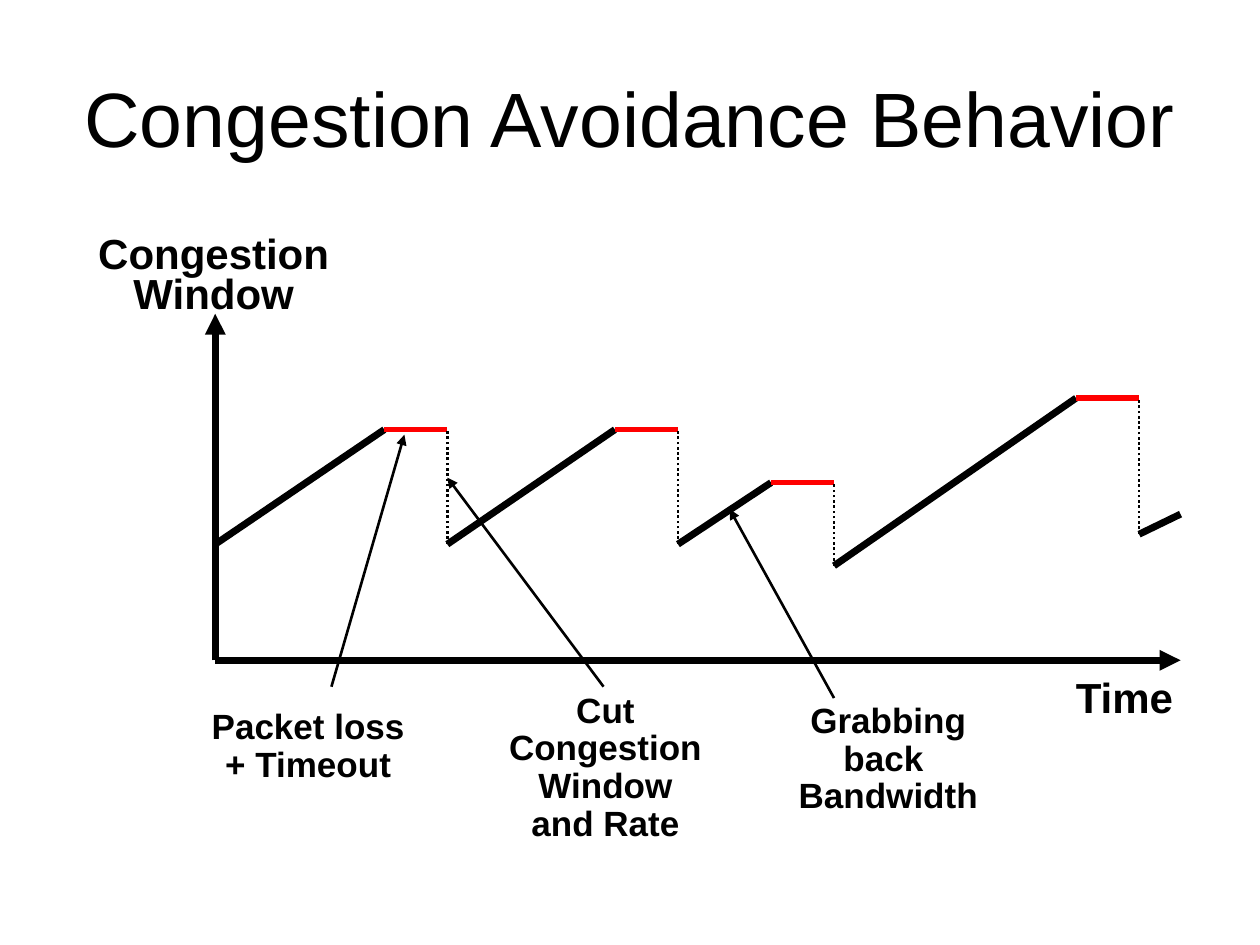
from lxml import etree
from pptx import Presentation
from pptx import util as u
from pptx.dml.color import RGBColor
from pptx.enum import dml, shapes, text
from pptx.oxml.ns import qn

BLACK = RGBColor(0, 0, 0)
RED = RGBColor(255, 0, 0)
FONT = "Arial"
CENTER, LEFT = text.PP_ALIGN.CENTER, text.PP_ALIGN.LEFT

TITLE = "Congestion Avoidance Behavior"

# Axes: origin and far ends
ORIGIN = (123, 377.3)
WINDOW_END = (123, 179.3)
TIME_END = (674.6, 377.3)

# Each cycle climbs from start to peak, holds, then drops to the next start
STARTS = [(123, 311), (255.6, 311), (387.4, 311), (476.6, 323.3), (650.9, 305.3)]
PEAKS = [(219.6, 245.5), (351.4, 245.5), (440.6, 275.8), (614.9, 227.5)]
LAST_CLIMB_END = (674.6, 293.8)

# Lines, left, top, width, height, size, line spacing, alignment
AXIS_LABELS = [
    (["Time"], 607.7, 380.2, 70.6, 36, 24, 1, LEFT),
    (["Congestion", "Window"], 49, 131.8, 146.2, 53.3, 24, 0.8, CENTER),
]
NOTES = [
    (["Packet loss", "+ Timeout"], 113.8, 401.8, 124.6, 50.4, 20, 0.9, CENTER),
    (["Cut", "Congestion", "Window", "and Rate"],
     283.7, 392.4, 124.6, 93.6, 20, 0.9, CENTER),
    (["Grabbing", "back ", "Bandwidth"], 449.3, 398.2, 116.6, 72, 20, 0.9, CENTER),
]
POINTERS = [
    ((189.4, 392.4), (231.1, 248.4)),
    ((344.9, 392.4), (255.6, 272.9)),
    ((476.6, 398.9), (416.9, 290.9)),
]


def add_line(page, start, end, width, color=BLACK, dotted=False, arrow=False):
    line = page.shapes.add_connector(
        shapes.MSO_CONNECTOR.STRAIGHT, *(u.Pt(v) for v in (*start, *end)))
    line.line.color.rgb = color
    line.line.width = u.Pt(width)
    if dotted:
        line.line.dash_style = dml.MSO_LINE.ROUND_DOT
    if arrow:
        etree.SubElement(line.line._get_or_add_ln(), qn("a:tailEnd"), type="triangle")
    etree.SubElement(line._element.spPr, qn("a:effectLst"))


def add_text(page, lines, left, top, width, height, size, spacing, align,
             bold=True, wrap=False):
    box = page.shapes.add_textbox(*(u.Pt(v) for v in (left, top, width, height)))
    frame = box.text_frame
    frame.word_wrap = wrap
    for index, words in enumerate(lines):
        para = frame.add_paragraph() if index else frame.paragraphs[0]
        para.alignment = align
        para.line_spacing = float(spacing)
        span = para.add_run()
        span.text = words
        span.font.name = FONT
        span.font.size = u.Pt(size)
        span.font.bold = bold
        span.font.color.rgb = BLACK
    return box


def main():
    deck = Presentation()
    deck.slide_width, deck.slide_height = u.Pt(720), u.Pt(540)
    page = deck.slides.add_slide(deck.slide_layouts[6])

    title = add_text(page, [TITLE], 36, 21.6, 648, 90, 44, 1, CENTER,
                     bold=False, wrap=True)
    title.text_frame.vertical_anchor = text.MSO_ANCHOR.MIDDLE

    for end in (WINDOW_END, TIME_END):
        add_line(page, ORIGIN, end, 4, arrow=True)

    for start, peak, following in zip(STARTS, PEAKS, STARTS[1:]):
        loss = (following[0], peak[1])
        add_line(page, start, peak, 4)
        add_line(page, peak, loss, 3, RED)
        add_line(page, following, loss, 1.5, dotted=True)
    add_line(page, STARTS[-1], LAST_CLIMB_END, 4)

    for start, end in POINTERS:
        add_line(page, start, end, 1.5, arrow=True)
    for label in AXIS_LABELS + NOTES:
        add_text(page, *label)

    deck.save("out.pptx")


if __name__ == "__main__":
    main()
